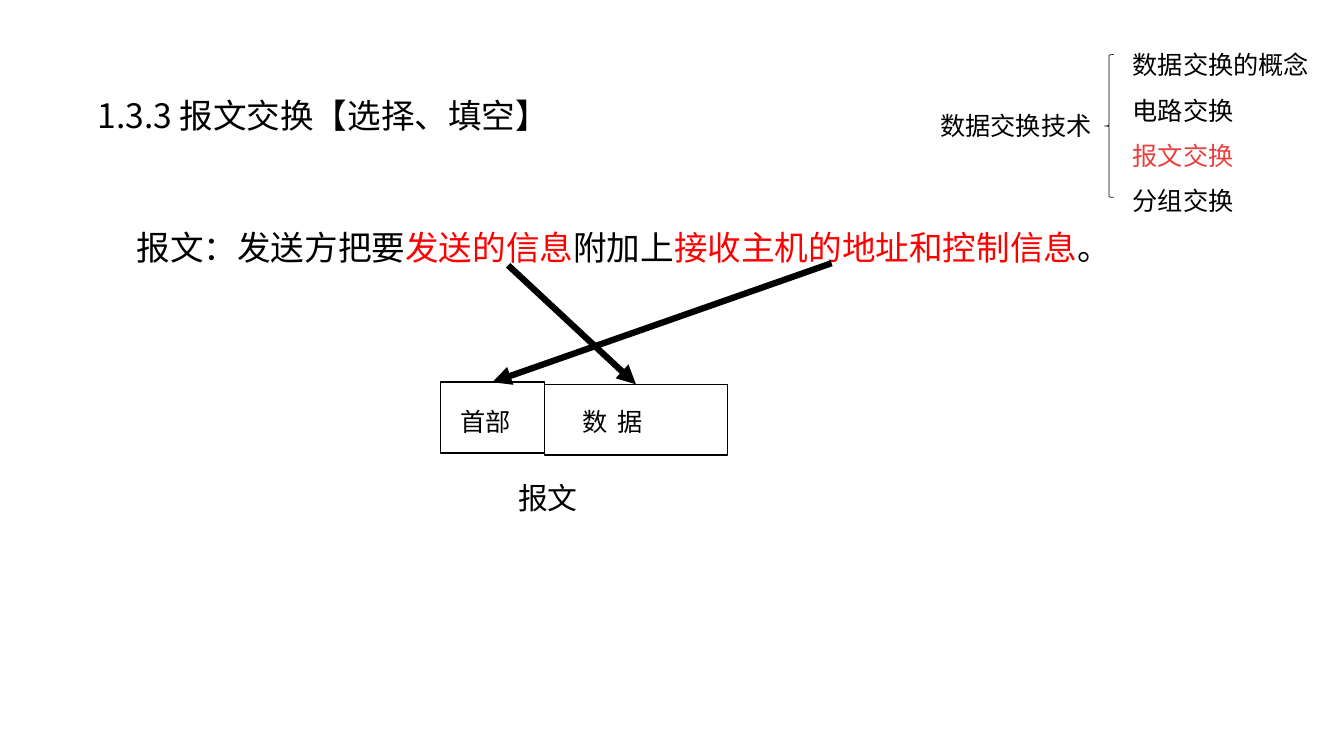
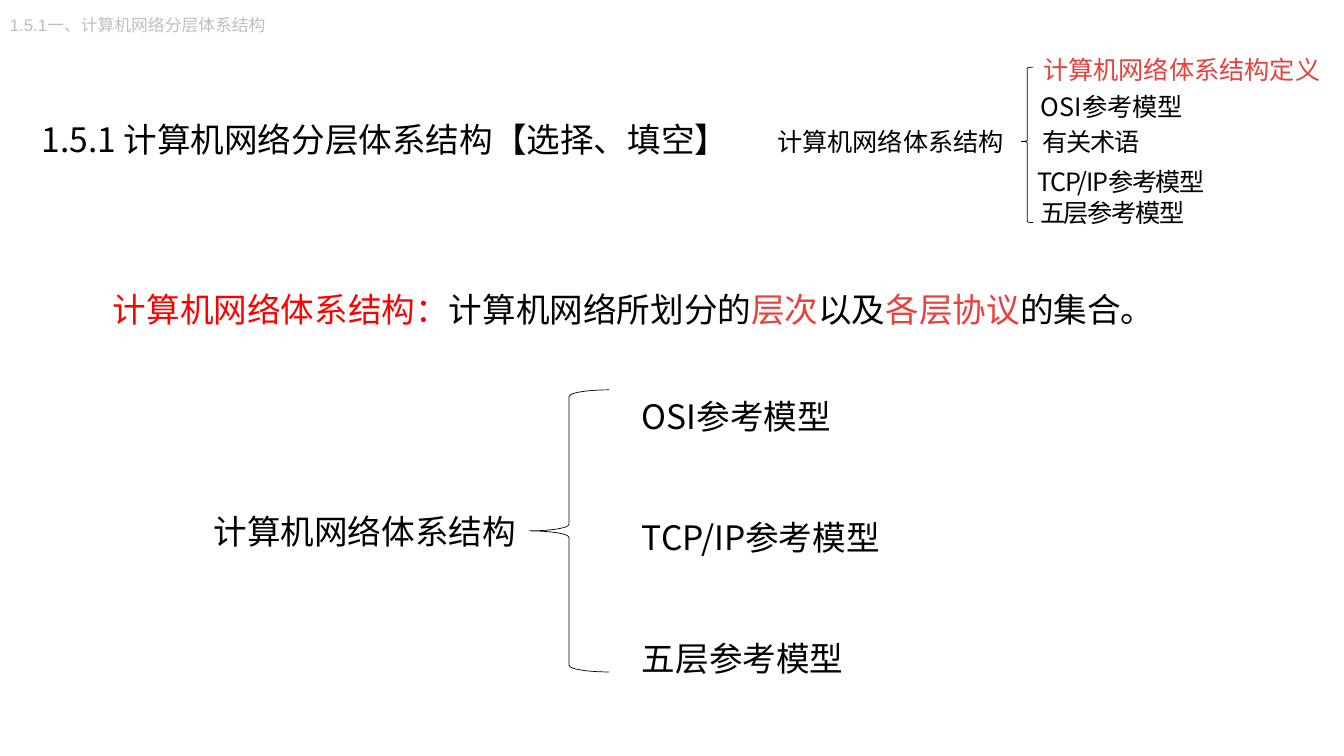
from lxml import etree
from pptx import Presentation
from pptx.dml.color import RGBColor
from pptx.enum.shapes import MSO_CONNECTOR as Connector, MSO_SHAPE as Shape
from pptx.enum.text import MSO_ANCHOR as Anchor, PP_ALIGN as Align
from pptx.oxml.ns import qn
from pptx.util import Pt

COLORS = {
    "black": "000000",
    "white": "FFFFFF",
    "red": "FF0000",
    "coral": "E9403C",
    "grey": "BFBFBF",
}
LATIN, CJK = "Arial", "Noto Sans CJK SC"
HEADING, LABEL = 24, 18
TOP = 0


def color(name):
    return RGBColor.from_string(COLORS[name])


class Deck:
    def __init__(self, width, height):
        self.presentation = Presentation()
        self.presentation.slide_width = Pt(width)
        self.presentation.slide_height = Pt(height)
        self.slide = None

    def new_slide(self):
        blank = self.presentation.slide_layouts[6]
        self.slide = self.presentation.slides.add_slide(blank)

    def fill_frame(self, frame, paragraphs, size=LABEL, font=LATIN,
                   spacing=None, gap=0, align=Align.LEFT, tracking=0):
        """Fill a frame; each paragraph is a list of (text, color name) runs."""
        frame.word_wrap = True
        for index, runs in enumerate(paragraphs):
            paragraph = frame.add_paragraph() if index else frame.paragraphs[0]
            paragraph.alignment = align
            if spacing:
                paragraph.line_spacing = spacing
            if index and gap:
                paragraph.space_before = Pt(gap)
            for text, name in runs:
                run = paragraph.add_run()
                run.text = text
                run.font.size = Pt(size)
                run.font.color.rgb = color(name)
                run.font.name = font
                properties = run.font._element
                etree.SubElement(properties, qn("a:ea"), typeface=CJK)
                if tracking:
                    properties.set("spc", str(int(tracking * 100)))

    def text(self, box, *paragraphs, **style):
        """Add a text box; a plain string stands for one black paragraph."""
        frame = self.slide.shapes.add_textbox(*map(Pt, box)).text_frame
        runs = [[(item, "black")] if isinstance(item, str) else item
                for item in paragraphs]
        self.fill_frame(frame, runs, **style)
        return frame

    def title(self, box, text):
        return self.text(box, text, size=HEADING, font=CJK, spacing=1.5)

    def outline(self, kind, box, line_width):
        shape = self.slide.shapes.add_shape(kind, *map(Pt, box))
        shape.shadow.inherit = False
        shape.line.color.rgb = color("black")
        shape.line.width = Pt(line_width)
        return shape

    def brace(self, box, adjustments=()):
        shape = self.outline(Shape.LEFT_BRACE, box, 0.5)
        shape.fill.background()
        for index, value in enumerate(adjustments):
            shape.adjustments[index] = value

    def field(self, box, text, indent, drop=0, tracking=0):
        """Add a message field whose label sits at an indent from the left."""
        shape = self.outline(Shape.RECTANGLE, box, 1)
        shape.fill.solid()
        shape.fill.fore_color.rgb = color("white")
        frame = shape.text_frame
        frame.margin_left, frame.margin_right = Pt(indent), 0
        frame.margin_top = Pt(3.6 + drop)
        frame.vertical_anchor = Anchor.MIDDLE
        self.fill_frame(frame, [[(text, "black")]], tracking=tracking)
        return shape

    def arrow(self, x, y, target):
        """Draw a thick arrow from a point to the top middle of a field."""
        line = self.slide.shapes.add_connector(
            Connector.STRAIGHT, Pt(x), Pt(y), Pt(x), Pt(y))
        line.end_connect(target, TOP)
        line.line.color.rgb = color("black")
        line.line.width = Pt(4.5)
        properties = line._element.spPr
        etree.SubElement(properties.find(qn("a:ln")), qn("a:tailEnd"),
                         type="triangle")
        etree.SubElement(properties, qn("a:effectLst"))


def message_switching(deck):
    deck.new_slide()
    deck.text((664.5, 75, 181, 29), "数据交换技术")
    deck.brace((789, 39, 6.5, 102))
    deck.text((802, 21, 150, 138), "数据交换的概念", "电路交换",
              [("报文交换", "coral")], "分组交换", spacing=1.5)
    deck.title((62.5, 49.5, 350, 51), "1.3.3 报文交换【选择、填空】")
    deck.text((90.5, 144, 690, 45),
              [("报文：发送方把要", "black"), ("发送的信息", "red"),
               ("附加上", "black"), ("接收主机的地址和控制信息", "red"),
               ("。", "black")],
              size=HEADING, spacing=1.5)
    header = deck.field((314.5, 273, 74.5, 50.5), "首部", 14.5, drop=5)
    data = deck.field((389, 274.5, 130.5, 50.5), "数 据", 27, drop=2,
                      tracking=1.5)
    deck.text((363, 339, 71, 33), "报文", size=21.3)
    deck.arrow(363, 189.5, data)
    deck.arrow(594, 188, header)


def layered_architecture(deck):
    deck.new_slide()
    deck.text((73.5, 188.5, 804, 46),
              [("计算机网络体系结构：", "red"), ("计算机网络所划分的", "black"),
               ("层次", "coral"), ("以及", "black"), ("各层协议", "coral"),
               ("的集合。", "black")],
              size=HEADING, font=CJK, spacing=1.5)

    deck.text((548, 86.5, 243, 29), "计算机网络体系结构", font=CJK)
    deck.brace((729.5, 48, 8.5, 111), (0.083, 0.478))
    deck.text((738, 35.5, 215.5, 29), [("计算机网络体系结构定义", "coral")])
    for left, top, width, topic, tracking in (
            (716.5, 67.5, 155.5, "OSI参考模型", 0),
            (723, 92, 113, "有关术语", -1),
            (707, 121, 188, "TCP/IP参考模型", -1),
            (715, 143, 159, "五层参考模型", -1)):
        deck.text((left, top, width, 23), topic, font=CJK, spacing=Pt(16),
                  align=Align.CENTER, tracking=tracking)

    deck.text((0, 7, 198.5, 22),
              [("1.5.1一、计算机网络分层体系结构", "grey")], size=12)
    heading = deck.title((21, 54.5, 513.5, 75),
                         "1.5.1 计算机网络分层体系结构【选择、填空】")
    heading.vertical_anchor = Anchor.MIDDLE
    heading.margin_left = heading.margin_right = Pt(8.6)
    heading.margin_top = heading.margin_bottom = Pt(4.3)

    deck.text((145.5, 361.5, 236, 36), "计算机网络体系结构",
              size=HEADING, font=CJK)
    deck.brace((378, 278.5, 57, 201.5))
    deck.text((451.5, 265, 271.5, 225.5),
              "OSI参考模型", "TCP/IP参考模型", "五层参考模型",
              size=HEADING, font=CJK, spacing=1.5, gap=43)


def main():
    deck = Deck(960, 540)
    message_switching(deck)
    layered_architecture(deck)
    deck.presentation.save("out.pptx")


if __name__ == "__main__":
    main()
